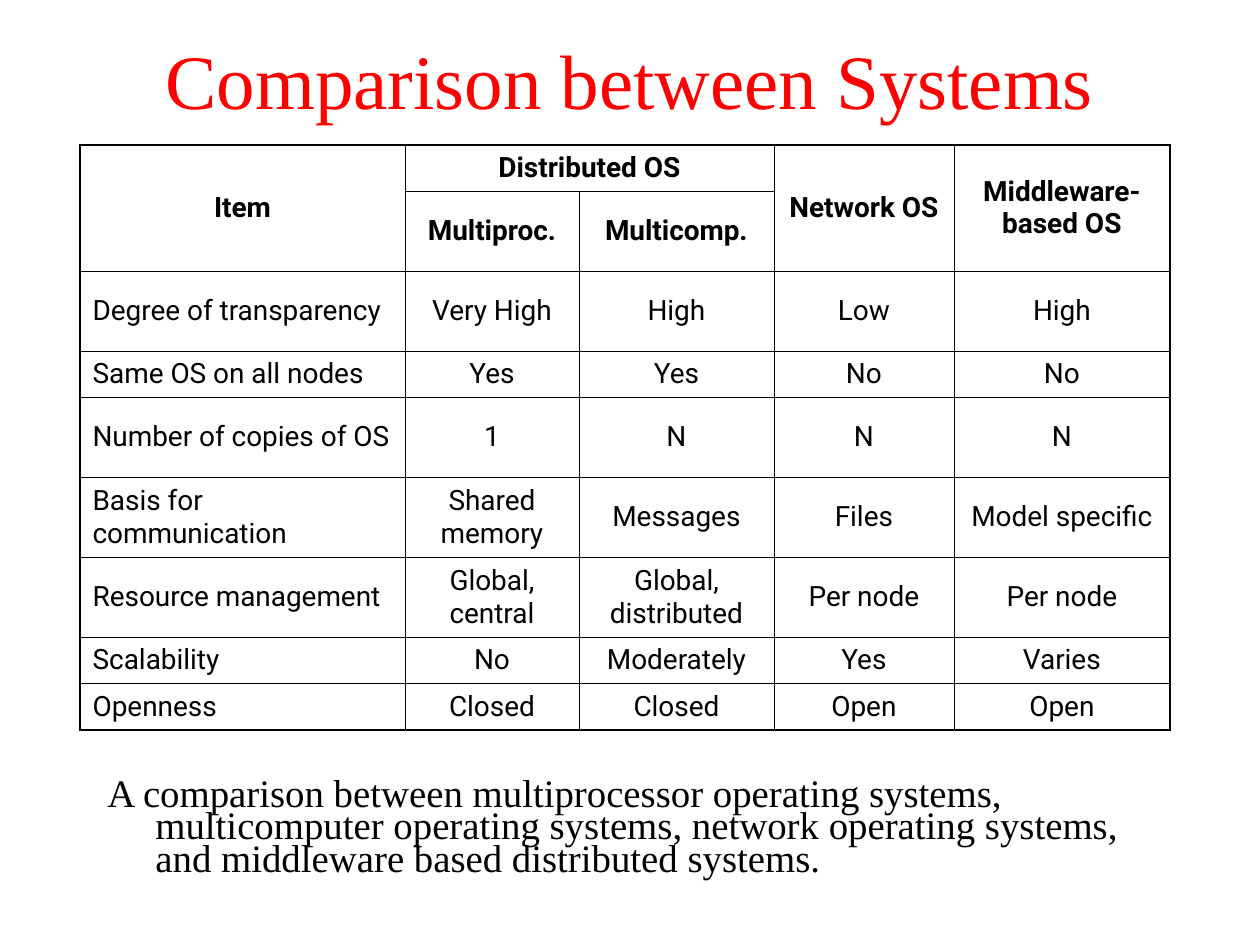
from lxml import etree
from pptx import Presentation
from pptx.dml.color import RGBColor
from pptx.enum.text import MSO_ANCHOR, PP_ALIGN
from pptx.oxml.ns import qn
from pptx.util import Emu, Pt

LEFT, CENTER = PP_ALIGN.LEFT, PP_ALIGN.CENTER
TOP, MIDDLE = MSO_ANCHOR.TOP, MSO_ANCHOR.MIDDLE
BLACK = RGBColor(0x00, 0x00, 0x00)
RED = RGBColor(0xFF, 0x00, 0x00)
SERIF, SANS = "Times New Roman", "Roboto"
THIN, THICK = Pt(0.45), Pt(1.08)
HEADER_ROWS = 2

COLUMN_WIDTHS = [325, 174, 195, 180, 216]
ROW_HEIGHTS = [46, 80, 80, 46, 80, 80, 80, 46, 46]
ROWS = [
    ["Item", "Distributed OS", "", "Network OS", "Middleware-based OS"],
    ["", "Multiproc.", "Multicomp.", "", ""],
    ["Degree of transparency", "Very High", "High", "Low", "High"],
    ["Same OS on all nodes", "Yes", "Yes", "No", "No"],
    ["Number of copies of OS", "1", "N", "N", "N"],
    ["Basis for communication", "Shared memory", "Messages", "Files", "Model specific"],
    ["Resource management", "Global, central", "Global, distributed", "Per node", "Per node"],
    ["Scalability", "No", "Moderately", "Yes", "Varies"],
    ["Openness", "Closed", "Closed", "Open", "Open"],
]
MERGES = [((0, 0), (1, 0)), ((0, 1), (0, 2)), ((0, 3), (1, 3)), ((0, 4), (1, 4))]
CAPTION = (
    "A comparison between multiprocessor operating systems, multicomputer operating "
    "systems, network operating systems, and middleware based distributed systems."
)


def px(length):
    return Emu(round(length * 914400 / 126))


def write_text(frame, text, font=SERIF, size=16, color=BLACK, bold=False,
               align=LEFT, line_spacing=None, hanging=0):
    paragraph = frame.paragraphs[0]
    paragraph.alignment = align
    if line_spacing:
        paragraph.line_spacing = line_spacing
    if hanging:
        properties = paragraph._p.get_or_add_pPr()
        properties.set("marL", str(px(hanging)))
        properties.set("indent", str(-px(hanging)))
    run = paragraph.add_run()
    run.text = text
    run.font.name = font
    run.font.size = Pt(size)
    run.font.bold = bold
    run.font.color.rgb = color


def set_borders(cell, widths):
    properties = cell._tc.get_or_add_tcPr()
    for side, width in widths.items():
        line = etree.SubElement(properties, qn(f"a:ln{side}"), w=str(width))
        fill = etree.SubElement(line, qn("a:solidFill"))
        etree.SubElement(fill, qn("a:srgbClr"), val=str(BLACK))


class SlideBuilder:
    """Adds styled text and tables to one slide."""

    def __init__(self, slide):
        self.slide = slide

    def text(self, text, left, top, width, height, anchor=TOP, **text_format):
        shape = self.slide.shapes.add_textbox(px(left), px(top), px(width), px(height))
        frame = shape.text_frame
        frame.word_wrap = True
        frame.vertical_anchor = anchor
        write_text(frame, text, **text_format)

    def table(self, rows, left, top, column_widths, row_heights, merges):
        table = self.slide.shapes.add_table(
            len(rows), len(column_widths), px(left), px(top),
            px(sum(column_widths)), px(sum(row_heights))).table
        table.first_row = False
        table.horz_banding = False
        for column, width in zip(table.columns, column_widths):
            column.width = px(width)
        for row, height in zip(table.rows, row_heights):
            row.height = px(height)
        for start, end in merges:
            table.cell(*start).merge(table.cell(*end))
        last_row, last_column = len(rows) - 1, len(column_widths) - 1
        for row_index, row in enumerate(rows):
            header = row_index < HEADER_ROWS
            for column_index, text in enumerate(row):
                cell = table.cell(row_index, column_index)
                set_borders(cell, {
                    "L": THICK if column_index == 0 else THIN,
                    "R": THICK if column_index == last_column else THIN,
                    "T": THICK if row_index == 0 else THIN,
                    "B": THICK if row_index == last_row else THIN,
                })
                cell.fill.background()
                cell.vertical_anchor = MIDDLE
                if text:
                    align = CENTER if header or column_index else LEFT
                    write_text(cell.text_frame, text, font=SANS, bold=header, align=align)


def main():
    presentation = Presentation()
    presentation.slide_width, presentation.slide_height = px(1260), px(945)
    builder = SlideBuilder(presentation.slides.add_slide(presentation.slide_layouts[6]))
    builder.text("Comparison between Systems", 0, 0, 1260, 158, anchor=MIDDLE,
                 size=44, color=RED, align=CENTER)
    builder.text(CAPTION, 95, 775, 1102, 116, size=22.2, line_spacing=0.7, hanging=48)
    builder.table(ROWS, 80, 145, COLUMN_WIDTHS, ROW_HEIGHTS, MERGES)
    presentation.save("out.pptx")


if __name__ == "__main__":
    main()
